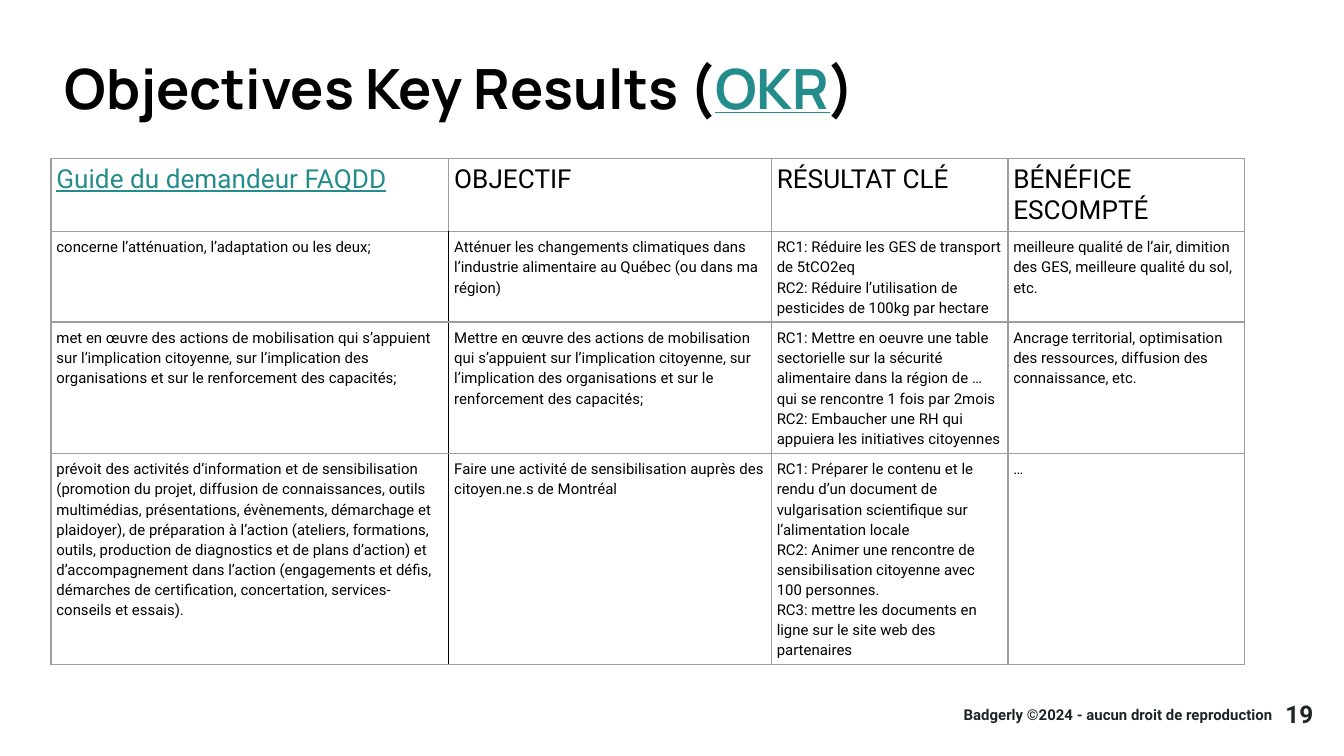
from dataclasses import dataclass

from lxml import etree
from pptx import Presentation
from pptx.dml.color import RGBColor
from pptx.enum.text import MSO_ANCHOR, MSO_AUTO_SIZE, PP_ALIGN
from pptx.oxml.ns import qn
from pptx.util import Inches, Pt

TOP, BOTTOM = MSO_ANCHOR.TOP, MSO_ANCHOR.BOTTOM
LEFT, RIGHT = PP_ALIGN.LEFT, PP_ALIGN.RIGHT
NO_FIT = MSO_AUTO_SIZE.NONE
TITLE_ONLY = 5


@dataclass(frozen=True)
class Theme:
    title_font: str = "Manrope"
    body_font: str = "Roboto"
    paper: str = "FFFFFF"
    ink: str = "000000"
    accent: str = "248D8C"
    footer: str = "1D2626"
    grid: str = "9E9E9E"
    title_size: float = 29.7
    header_size: float = 14
    number_size: float = 13
    small_size: float = 8
    body_spacing: float = 1.15
    border_width: float = 0.75


THEME = Theme()

COLUMN_WIDTHS = [2.96, 2.4, 1.76, 1.76]
ROW_HEIGHTS = [0.54, 0.67, 0.97, 1.57]
HEADERS = ["Guide du demandeur FAQDD", "OBJECTIF", "RÉSULTAT CLÉ", "BÉNÉFICE ESCOMPTÉ"]
# Each cell is a list of paragraphs
BODY_ROWS = [
    [
        ["concerne l’atténuation, l’adaptation ou les deux;"],
        ["Atténuer les changements climatiques dans l’industrie alimentaire "
         "au Québec (ou dans ma région)"],
        ["RC1: Réduire les GES de transport de 5tCO2eq",
         "RC2: Réduire l’utilisation de pesticides de 100kg par hectare"],
        ["meilleure qualité de l’air, dimition des GES, meilleure qualité du sol, etc."],
    ],
    [
        ["met en œuvre des actions de mobilisation qui s’appuient sur l’implication "
         "citoyenne, sur l’implication des organisations et sur le renforcement "
         "des capacités;"],
        ["Mettre en œuvre des actions de mobilisation qui s’appuient sur l’implication "
         "citoyenne, sur l’implication des organisations et sur le renforcement "
         "des capacités;"],
        ["RC1: Mettre en oeuvre une table sectorielle sur la sécurité alimentaire "
         "dans la région de … qui se rencontre 1 fois par 2mois",
         "RC2: Embaucher une RH qui appuiera les initiatives citoyennes"],
        ["Ancrage territorial, optimisation des ressources, diffusion "
         "des connaissance, etc."],
    ],
    [
        ["prévoit des activités d’information et de sensibilisation (promotion du "
         "projet, diffusion de connaissances, outils multimédias, présentations, "
         "évènements, démarchage et plaidoyer), de préparation à l’action (ateliers, "
         "formations, outils, production de diagnostics et de plans d’action) et "
         "d’accompagnement dans l’action (engagements et défis, démarches de "
         "certification, concertation, services-conseils et essais)."],
        ["Faire une activité de sensibilisation auprès des citoyen.ne.s de Montréal"],
        ["RC1: Préparer le contenu et le rendu d’un document de vulgarisation "
         "scientifique sur l’alimentation locale",
         "RC2: Animer une rencontre de sensibilisation citoyenne avec 100 personnes.",
         "RC3: mettre les documents en ligne sur le site web des partenaires"],
        ["…"],
    ],
]


def add_span(para, text, size, color, font=THEME.body_font, bold=False, underline=False):
    span = para.add_run()
    span.text = text
    span.font.name = font
    span.font.size = Pt(size)
    span.font.bold = bold
    span.font.underline = underline
    span.font.color.rgb = RGBColor.from_string(color)


def set_frame(frame, anchor):
    frame.word_wrap = True
    frame.auto_size = NO_FIT
    frame.vertical_anchor = anchor
    frame.margin_left = frame.margin_right = Inches(0.1)
    frame.margin_top = frame.margin_bottom = Inches(0.1)


def add_title(page):
    title = page.shapes.title
    title.left, title.top = Inches(0.38), Inches(0.3)
    title.width, title.height = Inches(9.24), Inches(0.56)
    set_frame(title.text_frame, TOP)
    para = title.text_frame.paragraphs[0]
    para.alignment = LEFT
    for text, color, underline in [("Objectives Key Results (", THEME.ink, False),
                                   ("OKR", THEME.accent, True),
                                   (")", THEME.ink, False)]:
        add_span(para, text, THEME.title_size, color, THEME.title_font, True, underline)


def add_footer_text(page, text, size, left, top, width, height, anchor):
    box = page.shapes.add_textbox(Inches(left), Inches(top), Inches(width), Inches(height))
    set_frame(box.text_frame, anchor)
    para = box.text_frame.paragraphs[0]
    para.alignment = RIGHT
    add_span(para, text, size, THEME.footer, bold=True)


def set_borders(cell, colors):
    """Draw the cell borders; colors maps each of L, R, T, B to a colour."""
    properties = cell._tc.get_or_add_tcPr()
    for side in "LRTB":
        line = etree.SubElement(properties, qn(f"a:ln{side}"),
                                w=str(Pt(THEME.border_width)))
        fill = etree.SubElement(line, qn("a:solidFill"))
        etree.SubElement(fill, qn("a:srgbClr"), val=colors[side])


def fill_cell(cell, paragraphs, size, color=THEME.ink, underline=False, spacing=None):
    cell.margin_left = cell.margin_right = Inches(0.04)
    cell.margin_top = cell.margin_bottom = Inches(0.04)
    cell.vertical_anchor = TOP
    frame = cell.text_frame
    for index, text in enumerate(paragraphs):
        para = frame.add_paragraph() if index else frame.paragraphs[0]
        para.line_spacing = spacing
        add_span(para, text, size, color, underline=underline)


def add_okr_table(page):
    rows, columns = len(ROW_HEIGHTS), len(COLUMN_WIDTHS)
    table = page.shapes.add_table(rows, columns, Inches(0.38), Inches(1.18),
                                  Inches(sum(COLUMN_WIDTHS)),
                                  Inches(sum(ROW_HEIGHTS))).table
    table.first_row = table.horz_banding = False
    for column, width in zip(table.columns, COLUMN_WIDTHS):
        column.width = Inches(width)
    for row, height in zip(table.rows, ROW_HEIGHTS):
        row.height = Inches(height)

    # Header row: the guide's name is set like a link
    for index, text in enumerate(HEADERS):
        is_guide = index == 0
        fill_cell(table.cell(0, index), [text], THEME.header_size,
                  THEME.accent if is_guide else THEME.ink, is_guide)

    # Body rows
    for row_index, row in enumerate(BODY_ROWS, start=1):
        for index, paragraphs in enumerate(row):
            fill_cell(table.cell(row_index, index), paragraphs, THEME.small_size,
                      spacing=THEME.body_spacing)

    # Grey grid, with a black rule after the first column of the body
    for row_index in range(rows):
        for index in range(columns):
            cell = table.cell(row_index, index)
            colors = dict.fromkeys("LRTB", THEME.grid)
            if row_index and index < 2:
                colors["RL"[index]] = THEME.ink
            set_borders(cell, colors)
            cell.fill.background()


def main():
    # Widescreen page, 16:9
    deck = Presentation()
    deck.slide_width = Inches(10)
    deck.slide_height = Inches(10 * 9 / 16)
    page = deck.slides.add_slide(deck.slide_layouts[TITLE_ONLY])
    page.background.fill.solid()
    page.background.fill.fore_color.rgb = RGBColor.from_string(THEME.paper)

    # Footer, title, page number and table
    add_footer_text(page, "Badgerly ©2024 - aucun droit de reproduction",
                    THEME.small_size, 0.85, 5.09, 8.72, 0.39, BOTTOM)
    add_title(page)
    add_footer_text(page, "19", THEME.number_size, 9.27, 5.1, 0.6, 0.43, TOP)
    add_okr_table(page)
    deck.save("out.pptx")


if __name__ == "__main__":
    main()
